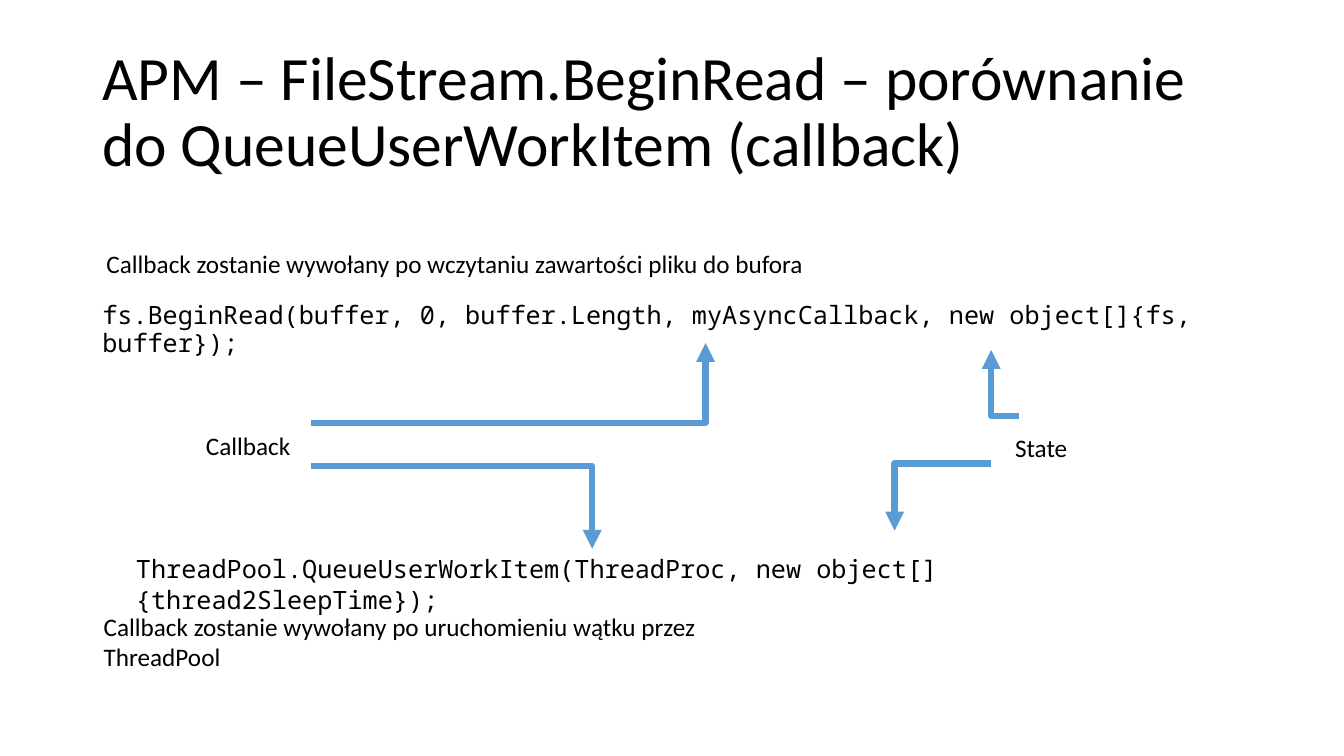
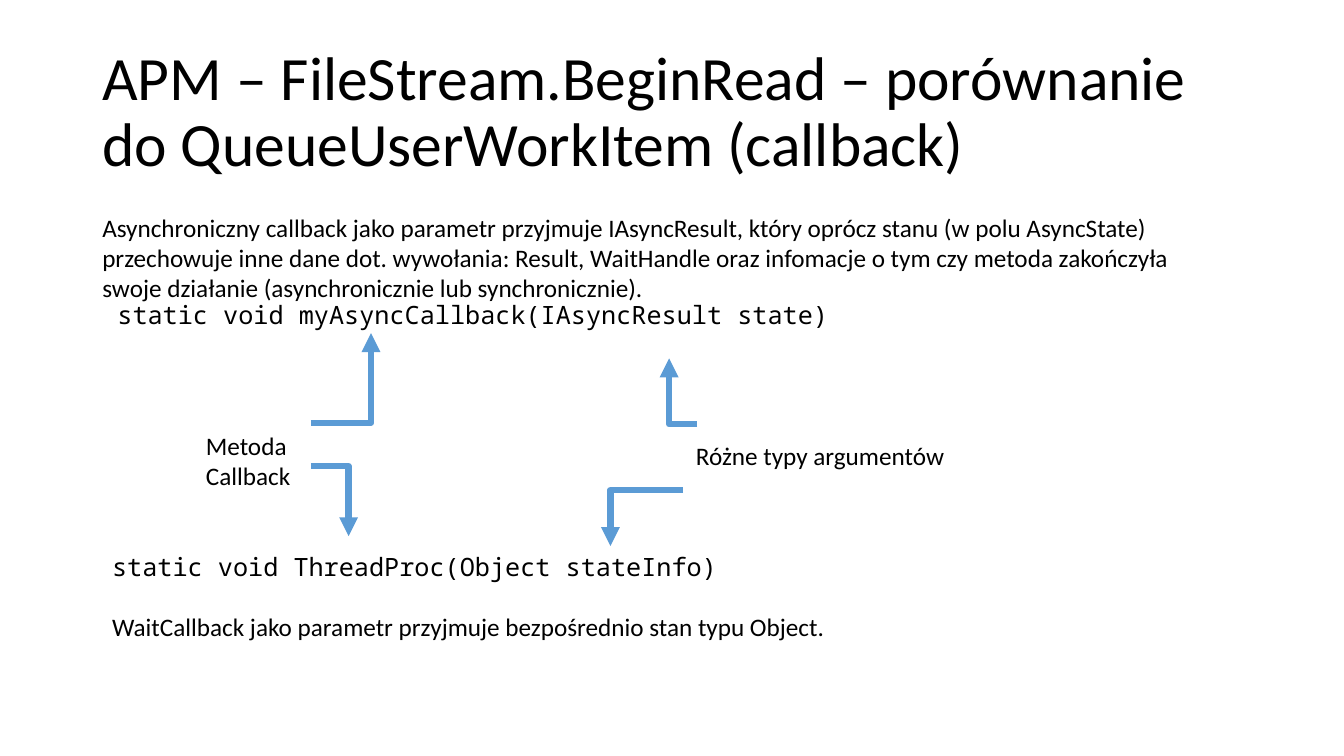
from dataclasses import dataclass

from pptx import Presentation
from pptx.dml.color import RGBColor
from pptx.enum.shapes import MSO_CONNECTOR as Connector
from pptx.enum.text import MSO_ANCHOR as Anchor, MSO_AUTO_SIZE as AutoSize
from pptx.oxml.ns import qn
from pptx.util import Pt
from lxml.etree import SubElement


@dataclass(frozen=True)
class Theme:
    text: RGBColor = RGBColor(0x00, 0x00, 0x00)
    arrow: RGBColor = RGBColor(0x5B, 0x9B, 0xD5)
    background: RGBColor = RGBColor(0xFF, 0xFF, 0xFF)
    text_font: str = "Calibri"
    code_font: str = "Noto Sans Mono"
    title_size: int = 44
    body_size: int = 18
    arrow_width: float = 4.5
    tight_spacing: float = 0.9


THEME = Theme()
TITLE = "APM – FileStream.BeginRead – porównanie do QueueUserWorkItem (callback)"
LABEL_HEIGHT = 29
LABEL_LEFT, LABEL_TOP = 140, 304
ARROW_LEFT, UPPER_ARROW_TOP, LOWER_ARROW_TOP = 222, 302, 333


def add_text(slide, text, left, top, width, height=LABEL_HEIGHT, wrap=False,
             font=THEME.text_font, size=THEME.body_size, spacing=None):
    box = slide.shapes.add_textbox(Pt(left), Pt(top), Pt(width), Pt(height))
    frame = box.text_frame
    frame.word_wrap = wrap
    frame.auto_size = AutoSize.NONE if spacing else AutoSize.SHAPE_TO_FIT_TEXT
    frame.text = text
    para = frame.paragraphs[0]
    if spacing:
        para.line_spacing = spacing
    para.font.name = font
    para.font.size = Pt(size)
    para.font.color.rgb = THEME.text
    return box


def add_title(slide):
    box = add_text(slide, TITLE, 66, 29, 828, 104, wrap=True,
                   size=THEME.title_size, spacing=THEME.tight_spacing)
    box.text_frame.vertical_anchor = Anchor.MIDDLE


def add_main_code(slide, code):
    add_text(slide, code, 66, 213, 845, 73, wrap=True,
             font=THEME.code_font, spacing=THEME.tight_spacing)


def add_bent_arrow(slide, start, end):
    """Draw an arrow that runs level from start, then turns once towards end."""
    arrow = slide.shapes.add_connector(
        Connector.ELBOW, *(Pt(value) for value in (*start, *end)))
    arrow.line.color.rgb = THEME.arrow
    arrow.line.width = Pt(THEME.arrow_width)
    properties = arrow._element.spPr
    properties.find(qn("a:prstGeom")).set("prst", "bentConnector2")
    if end[0] < start[0]:
        # A half turn keeps the corner in place where a sideways flip may reroute it.
        frame = properties.find(qn("a:xfrm"))
        frame.attrib.pop("flipH", None)
        frame.set("rot", "10800000")
        frame.set("flipV", "1" if end[1] > start[1] else "0")
    SubElement(properties.find(qn("a:ln")), qn("a:tailEnd"), type="triangle")
    SubElement(properties, qn("a:effectLst"))


def add_base_slide(deck, code, arrows):
    slide = deck.slides.add_slide(deck.slide_layouts[6])
    slide.background.fill.solid()
    slide.background.fill.fore_color.rgb = THEME.background
    add_title(slide)
    add_main_code(slide, code)
    for start, end in arrows:
        add_bent_arrow(slide, start, end)
    return slide


def add_call_slide(deck):
    slide = add_base_slide(
        deck,
        "fs.BeginRead(buffer, 0, buffer.Length, myAsyncCallback, "
        "new object[]{fs, buffer});",
        [((ARROW_LEFT, UPPER_ARROW_TOP), (504, 245)),
         ((ARROW_LEFT, LOWER_ARROW_TOP), (423, 392)),
         ((728, 297), (708, 250)),
         ((708, 331), (639, 379))])
    add_text(slide, "ThreadPool.QueueUserWorkItem(ThreadProc, "
                    "new object[] {thread2SleepTime});",
             90, 392, 796, 50, wrap=True, font=THEME.code_font)
    add_text(slide, "Callback", LABEL_LEFT, LABEL_TOP, 75)
    add_text(slide, "State", 718, 305, 52)
    add_text(slide, "Callback zostanie wywołany po wczytaniu zawartości pliku "
                    "do bufora", 69, 174, 512)
    add_text(slide, "Callback zostanie wywołany po uruchomieniu wątku przez "
                    "ThreadPool", 67, 433, 524)


def add_signature_slide(deck):
    slide = add_base_slide(
        deck,
        " static void myAsyncCallback(IAsyncResult state)",
        [((ARROW_LEFT, UPPER_ARROW_TOP), (265, 238)),
         ((ARROW_LEFT, LOWER_ARROW_TOP), (249, 383)),
         ((498, 303), (478, 256)),
         ((488, 350), (436, 390))])
    add_text(slide, "Metoda Callback", LABEL_LEFT, LABEL_TOP, 136)
    add_text(slide, "Różne typy argumentów", 490, 311, 192)
    add_text(slide, "Asynchroniczny callback jako parametr przyjmuje IAsyncResult, "
                    "który oprócz stanu (w polu AsyncState) przechowuje inne dane "
                    "dot. wywołania: Result, WaitHandle oraz infomacje o tym czy "
                    "metoda zakończyła swoje działanie (asynchronicznie lub "
                    "synchronicznie).", 66, 148, 797, 72, wrap=True)
    add_text(slide, "WaitCallback jako parametr przyjmuje bezpośrednio stan typu "
                    "Object.", 73, 433, 527)
    add_text(slide, "static void ThreadProc(Object stateInfo)", 73, 390, 448,
             font=THEME.code_font)


def main():
    deck = Presentation()
    deck.slide_width, deck.slide_height = Pt(960), Pt(540)
    add_call_slide(deck)
    add_signature_slide(deck)
    deck.save("out.pptx")


if __name__ == "__main__":
    main()
